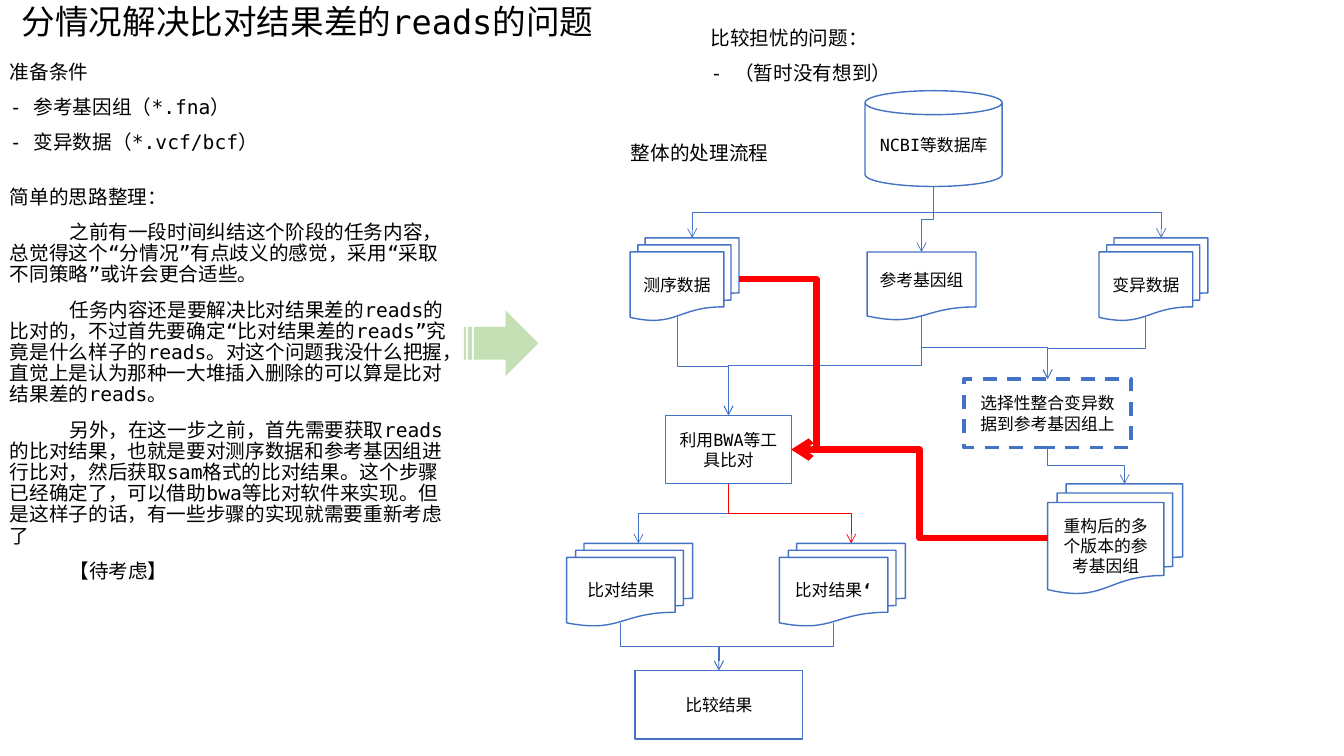
"""Build the slide on handling poorly aligned reads, with its processing flow chart."""
from lxml.etree import SubElement
from pptx import Presentation
from pptx.dml.color import RGBColor
from pptx.enum.dml import MSO_LINE
from pptx.enum.lang import MSO_LANGUAGE_ID
from pptx.enum.shapes import MSO_CONNECTOR, MSO_SHAPE
from pptx.enum.text import MSO_ANCHOR, MSO_AUTO_SIZE, PP_ALIGN
from pptx.oxml.ns import qn
from pptx.util import Inches, Pt

FONT = "DejaVu Sans Mono"
BLUE, RED, GREEN, WHITE, BLACK = "4472C4", "FF0000", "C5E0B4", "FFFFFF", "000000"
color = RGBColor.from_string


def write(frame, paragraphs, size=14, align=PP_ALIGN.LEFT, anchor=MSO_ANCHOR.TOP,
          spacing=0.9, before=10, fit=MSO_AUTO_SIZE.SHAPE_TO_FIT_TEXT, indent=0):
    """Fill a text frame; each paragraph is a list of (text, bold) spans or plain text."""
    frame.word_wrap = True
    frame.auto_size = fit
    frame.vertical_anchor = anchor
    for number, spans in enumerate(paragraphs):
        para = frame.add_paragraph() if number else frame.paragraphs[0]
        para.alignment = align
        para.line_spacing = spacing
        para.space_before = Pt(before)
        if indent and number:
            para._p.get_or_add_pPr().set("indent", str(Inches(indent)))
        for text, bold in [(spans, False)] if isinstance(spans, str) else spans:
            span = para.add_run()
            span.text = text
            span.font.size = Pt(size)
            span.font.bold = bold
            span.font.name = FONT
            span.font.language_id = MSO_LANGUAGE_ID.SIMPLIFIED_CHINESE
            span.font.color.rgb = color(BLACK)
            SubElement(span.font._element, qn("a:ea")).set("typeface", FONT)


def join(start, end, line_color=BLUE, width=0.5, vertical=True, bend=0.5):
    """Draw an elbow arrow that leaves its start vertically or horizontally."""
    (x1, y1), (x2, y2) = start, end
    if vertical:
        middle_x, middle_y = (x1 + x2) / 2, (y1 + y2) / 2
        half_run, half_rise = (y2 - y1) / 2, abs(x2 - x1) / 2
        x1, x2 = middle_x - half_run, middle_x + half_run
        y1, y2 = middle_y - half_rise, middle_y + half_rise
    link = page.shapes.add_connector(
        MSO_CONNECTOR.ELBOW, Inches(x1), Inches(y1), Inches(x2), Inches(y2))
    properties = link._element.spPr
    if vertical:
        rightward = end[0] > start[0]
        properties.xfrm.set("rot", str((270 if rightward else 90) * 60000))
        if rightward:
            properties.xfrm.set("flipH", "1")
    guide = SubElement(properties.prstGeom.get_or_add_avLst(), qn("a:gd"))
    guide.set("name", "adj1")
    guide.set("fmla", f"val {round(bend * 100000)}")
    link.line.color.rgb = color(line_color)
    link.line.width = Pt(width)
    SubElement(link.line._get_or_add_ln(), qn("a:tailEnd")).set("type", "arrow")
    SubElement(properties, qn("a:effectLst"))


deck = Presentation()
deck.slide_width, deck.slide_height = Inches(13.33), Inches(7.5)
page = deck.slides.add_slide(deck.slide_layouts[5])

title = page.shapes.title
title.left, title.top, title.width, title.height = 0, 0, Inches(6.1), Inches(0.46)
write(title.text_frame, ["分情况解决比对结果差的reads的问题"], size=24, align=PP_ALIGN.CENTER)

notes = [
    ((0, 0.57, 4.34, 1.02), ["准备条件", "- 参考基因组（*.fna）", "- 变异数据（*.vcf/bcf）"], {}),
    ((6.95, 0.23, 2.92, 0.67), ["比较担忧的问题：", "- （暂时没有想到）"], {}),
    ((5.93, 1.37, 2.02, 0.31), ["整体的处理流程"], {"align": PP_ALIGN.CENTER}),
    ((0, 1.81, 4.6, 4.05), [
        "简单的思路整理：",
        "之前有一段时间纠结这个阶段的任务内容，总觉得这个“分情况”有点歧义的感觉，"
        "采用“采取不同策略”或许会更合适些。",
        "任务内容还是要解决比对结果差的reads的比对的，不过首先要确定“比对结果差的reads”"
        "究竟是什么样子的reads。对这个问题我没什么把握，直觉上是认为那种一大堆插入删除的"
        "可以算是比对结果差的reads。",
        "另外，在这一步之前，首先需要获取reads的比对结果，也就是要对测序数据和参考基因组"
        "进行比对，然后获取sam格式的比对结果。这个步骤已经确定了，可以借助bwa等比对软件"
        "来实现。但是这样子的话，有一些步骤的实现就需要重新考虑了",
        "【待考虑】",
    ], {"indent": 0.59}),
]
for place, paragraphs, style in notes:
    box = page.shapes.add_textbox(*map(Inches, place))
    write(box.text_frame, paragraphs, **style)

arrow = page.shapes.add_shape(
    MSO_SHAPE.STRIPED_RIGHT_ARROW, *map(Inches, (4.6, 3.08, 0.74, 0.65)))
arrow.shadow.inherit = False
arrow.fill.solid()
arrow.fill.fore_color.rgb = color(GREEN)
arrow.line.fill.background()

CAN, STEP = MSO_SHAPE.CAN, MSO_SHAPE.RECTANGLE
SHEET, STACK = MSO_SHAPE.FLOWCHART_DOCUMENT, MSO_SHAPE.FLOWCHART_MULTIDOCUMENT
DATA_ROW, RESULT_ROW = 2.36, 5.39
nodes = {
    "database": (CAN, (8.58, 0.9, 1.36, 0.95), "NCBI等数据库"),
    "sequences": (STACK, (6.25, DATA_ROW, 1.08, 0.82), "测序数据"),
    "reference": (SHEET, (8.6, 2.5, 1.08, 0.68), "参考基因组"),
    "variants": (STACK, (10.9, DATA_ROW, 1.08, 0.82), "变异数据"),
    "merge": (STEP, (9.56, 3.76, 1.66, 0.68), "选择性整合变异数据到参考基因组上"),
    "align": (STEP, (6.6, 4.12, 1.25, 0.68), "利用BWA等工具比对"),
    "rebuilt": (STACK, (10.39, 4.8, 1.34, 1.09), "重构后的多个版本的参考基因组"),
    "result": (STACK, (5.62, RESULT_ROW, 1.25, 0.82), "比对结果"),
    "new result": (STACK, (7.73, RESULT_ROW, 1.25, 0.82), [("比对结果", False), ("‘", True)]),
    "compare": (STEP, (6.3, 6.65, 1.66, 0.68), "比较结果"),
}
exit_shares = {CAN: (0.5, 1), STEP: (0.5, 1), SHEET: (0.5, 0.93), STACK: (0.43, 0.96)}
entries, exits = {}, {}
for name, (kind, place, label) in nodes.items():
    node = page.shapes.add_shape(kind, *map(Inches, place))
    node.shadow.inherit = False
    node.fill.solid()
    node.fill.fore_color.rgb = color(WHITE)
    node.line.color.rgb = color(BLUE)
    node.line.width = Pt(1)
    if name == "merge":
        node.line.width = Pt(2.5)
        node.line.dash_style = MSO_LINE.DASH
    write(node.text_frame, [label], size=12, align=PP_ALIGN.CENTER, spacing=1, before=0,
          anchor=MSO_ANCHOR.MIDDLE, fit=MSO_AUTO_SIZE.NONE)
    left, top, width, height = place
    across, down = exit_shares[kind]
    exits[name] = (left + across * width, top + down * height)
    entries[name] = (left + (1 - across) * width, top)

flow = [
    ("database", "sequences"), ("database", "variants"), ("database", "reference"),
    ("sequences", "align"), ("reference", "align"),
    ("reference", "merge"), ("variants", "merge"), ("merge", "rebuilt"),
    ("align", "result"), ("result", "compare"), ("new result", "compare"),
]
for source, target in flow:
    join(exits[source], entries[target])
join(exits["align"], entries["new result"], line_color=RED)

align_side = (7.85, 4.46)
for side, bend in [((7.33, 2.77), 1.48), ((10.39, 5.34), 0.5)]:
    join(side, align_side, line_color=RED, width=4.5, vertical=False, bend=bend)

deck.save("out.pptx")
